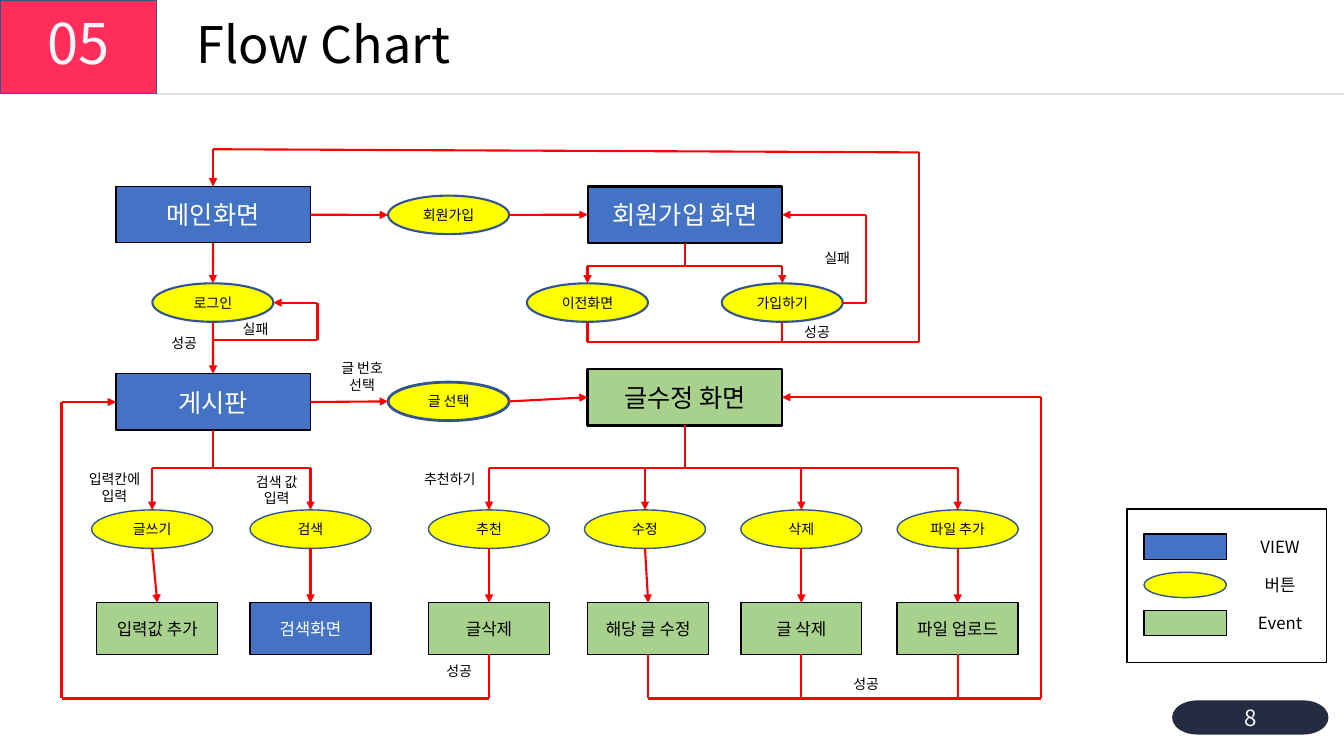
from dataclasses import dataclass

from lxml import etree
from pptx import Presentation
from pptx.dml.color import RGBColor
from pptx.enum.shapes import MSO_CONNECTOR, MSO_SHAPE
from pptx.enum.text import MSO_ANCHOR, PP_ALIGN
from pptx.oxml.ns import qn
from pptx.shapes.autoshape import Shape
from pptx.util import Cm, Pt

RECT, OVAL = MSO_SHAPE.RECTANGLE, MSO_SHAPE.OVAL
PROCESS, PILL = MSO_SHAPE.FLOWCHART_PROCESS, MSO_SHAPE.FLOWCHART_TERMINATOR
STRAIGHT = MSO_CONNECTOR.STRAIGHT
LEFT, CENTER = PP_ALIGN.LEFT, PP_ALIGN.CENTER
TOP_ANCHOR, MIDDLE = MSO_ANCHOR.TOP, MSO_ANCHOR.MIDDLE
TOP, WEST, BOTTOM, EAST = range(4)  # connection sites of a rectangle


@dataclass(frozen=True)
class Theme:
    font: str = "Noto Sans CJK KR"
    black: str = "000000"
    white: str = "FFFFFF"
    pale: str = "F4F5F9"
    accent: str = "FF2D5A"
    navy: str = "252C41"
    rule: str = "DDDFE6"
    outline: str = "325491"
    view: str = "4472C4"
    button: str = "FFFF00"
    event: str = "A9D18E"
    flow: str = "FF0000"
    number: int = 40
    title: int = 36
    screen: int = 18
    page: int = 16
    body: int = 12
    small: int = 10


def rgb(value):
    return RGBColor.from_string(value)


def mid_x(shape):
    return (shape.left + shape.width / 2) / Cm(1)


def mid_y(shape):
    return (shape.top + shape.height / 2) / Cm(1)


def write(tf, text, *, font, size, color, align=CENTER, anchor=MIDDLE,
          inset=(0, 0), spacing=None):
    """Fill a text frame, one paragraph per line of text."""
    tf.word_wrap = True
    tf.vertical_anchor = anchor
    tf.margin_left = tf.margin_right = Cm(inset[0])
    tf.margin_top = tf.margin_bottom = Cm(inset[1])
    for i, line in enumerate(text.split("\n")):
        p = tf.add_paragraph() if i else tf.paragraphs[0]
        p.alignment = align
        if spacing:
            p.line_spacing = spacing
        r = p.add_run()
        r.text = line
        r.font.size = Pt(size)
        r.font.name = font
        r.font.color.rgb = rgb(color)
        etree.SubElement(r._r.get_or_add_rPr(), qn("a:ea"), typeface=font)


class FlowSlide:
    def __init__(self, slide, theme):
        self.shapes = slide.shapes
        self.t = theme

    def box(self, kind, x, y, w, h, fill=None, line=None, width=1):
        s = self.shapes.add_shape(kind, Cm(x), Cm(y), Cm(w), Cm(h))
        s.shadow.inherit = False
        if fill:
            s.fill.solid()
            s.fill.fore_color.rgb = rgb(fill)
        else:
            s.fill.background()
        if line:
            s.line.color.rgb = rgb(line)
            s.line.width = Pt(width)
        else:
            s.line.fill.background()
        return s

    def put(self, s, text, size, color, **fmt):
        write(s.text_frame, text, font=self.t.font, size=size, color=color, **fmt)
        return s

    def screen(self, text, x, y, fill, color, width=1):
        s = self.box(RECT, x, y, 4.9, 1.42, fill, self.t.black, width)
        return self.put(s, text, self.t.screen, color)

    def button(self, text, x, y, width=1.5):
        s = self.box(OVAL, x, y, 3.05, 0.97, self.t.button, self.t.outline, width)
        return self.put(s, text, self.t.small, self.t.black)

    def result(self, text, x, y, fill, color):
        s = self.box(RECT, x, y, 3.05, 1.3, fill, self.t.black)
        return self.put(s, text, self.t.body, color)

    def text(self, text, x, y, w, h, size, **fmt):
        s = self.shapes.add_textbox(Cm(x), Cm(y), Cm(w), Cm(h))
        return self.put(s, text, size, self.t.black, **fmt)

    def label(self, text, x, y, w=1.4, h=0.69):
        self.text(text, x, y, w, h, self.t.small, anchor=TOP_ANCHOR,
                  inset=(0.1, 0.13))

    def line(self, start, end, color, width=1.5, arrow=False):
        """Each end is a point (x, y) or a joint (shape, site)."""
        points = [(0, 0) if isinstance(e[0], Shape) else e for e in (start, end)]
        c = self.shapes.add_connector(
            STRAIGHT, *(Cm(v) for point in points for v in point))
        for e, join, tag in ((start, c.begin_connect, "a:stCxn"),
                             (end, c.end_connect, "a:endCxn")):
            if isinstance(e[0], Shape):
                join(*e)
                if e[0].auto_shape_type == OVAL:  # an ellipse has eight sites
                    c._element.xpath(f".//{tag}")[0].set("idx", str(e[1] * 2))
        c.line.color.rgb = rgb(color)
        c.line.width = Pt(width)
        if arrow:
            etree.SubElement(c.line._get_or_add_ln(), qn("a:tailEnd"), type="triangle")
        etree.SubElement(c._element.spPr, qn("a:effectLst"))

    def route(self, *stops, arrow=True):
        """Join the stops with straight lines; the arrowhead is on the last."""
        last = len(stops) - 2
        for i, (a, b) in enumerate(zip(stops, stops[1:])):
            self.line(a, b, self.t.flow, arrow=arrow and i == last)

    def fork(self, source, targets, y):
        """Branch from the bottom of source to the top of every target."""
        self.route((source, BOTTOM), (mid_x(source), y), arrow=False)
        self.route((mid_x(targets[0]), y), (mid_x(targets[-1]), y), arrow=False)
        for target in targets:
            self.route((mid_x(target), y), (target, TOP))


def header(f):
    t = f.t
    f.line((3.94, 2.36), (33.87, 2.36), t.rule)
    number = f.box(PROCESS, 0, 0, 3.94, 2.36, t.accent, t.outline)
    f.put(number, "05", t.number, t.pale, spacing=0.9)
    f.text("Flow Chart", 4.7, 0.33, 17.91, 1.7, t.title, align=LEFT,
           inset=(0.25, 0.13), spacing=0.9)
    page = f.box(PILL, 29.54, 17.65, 3.94, 0.86, t.navy)
    f.put(page, "8", t.page, t.pale)


def legend(f):
    t = f.t
    f.box(RECT, 28.4, 12.83, 5.03, 3.86, line=t.black)
    entries = (("VIEW", RECT, t.view, t.black), ("버튼", OVAL, t.button, t.outline),
               ("Event", RECT, t.event, t.black))
    for i, (name, kind, fill, line) in enumerate(entries):
        y = 13.46 + i * 0.96
        f.box(kind, 28.83, y, 2.08, 0.64, fill, line)
        f.text(name, 31.22, y, 2.08, 0.64, t.body)


def flow(f):
    t = f.t
    main = f.screen("메인화면", 2.92, 4.7, t.view, t.white)
    signup = f.screen("회원가입 화면", 14.81, 4.7, t.view, t.white, 1.5)
    board = f.screen("게시판", 2.92, 9.42, t.view, t.white)
    edit = f.screen("글수정 화면", 14.81, 9.3, t.event, t.black, 2)

    join = f.button("회원가입", 9.78, 4.93)
    login = f.button("로그인", 3.84, 7.14)
    back = f.button("이전화면", 13.28, 7.14)
    submit = f.button("가입하기", 18.19, 7.14)
    select = f.button("글 선택", 9.78, 9.63, 2)

    columns = (("글쓰기", 2.31, "입력값 추가", 2.44),
               ("검색", 6.3, "검색화면", 6.3),
               ("추천", 10.8, "글삭제", 10.8),
               ("수정", 14.73, "해당 글 수정", 14.81),
               ("삭제", 18.67, "글 삭제", 18.67),
               ("파일 추가", 22.61, "파일 업로드", 22.61))
    actions, results = [], []
    for action, action_x, result, result_x in columns:
        look = (t.view, t.white) if result == "검색화면" else (t.event, t.black)
        actions.append(f.button(action, action_x, 12.85, 1))
        results.append(f.result(result, result_x, 15.19, *look))
        f.route((actions[-1], BOTTOM), (results[-1], TOP))

    for a, b in ((main, join), (join, signup), (board, select), (select, edit)):
        f.route((a, EAST), (b, WEST))
    for a, b in ((main, login), (login, board)):
        f.route((a, BOTTOM), (b, TOP))
    f.fork(signup, [back, submit], 6.71)
    f.fork(board, actions[:2], 11.8)
    f.fork(edit, actions[2:], 11.8)

    # Login failure and sign-up failure
    f.route((mid_x(login), 8.56), (8, 8.56), (8, mid_y(login)), (login, EAST))
    f.route((submit, EAST), (21.82, mid_y(submit)), (21.82, mid_y(signup)),
            (signup, EAST))
    # Return to the main screen
    f.route((back, BOTTOM), (mid_x(back), 8.61), (23.16, 8.61), (23.16, 3.84),
            (mid_x(main), 3.76), (main, TOP))
    f.route((submit, BOTTOM), (mid_x(submit), 8.61), arrow=False)
    # Return to the board and to the edit screen
    deleted, edited, *others = results[2:]
    f.route((deleted, BOTTOM), (mid_x(deleted), 17.6), (1.55, 17.6),
            (1.55, mid_y(board)), (board, WEST))
    f.route((edited, BOTTOM), (mid_x(edited), 17.6), (26.24, 17.6),
            (26.24, mid_y(edit)), (edit, EAST))
    for s in others:
        f.route((s, BOTTOM), (mid_x(s), 17.6), arrow=False)

    for x, y in ((20.4, 6.17), (5.74, 7.95)):
        f.label("실패", x, y)
    for x, y in ((19.89, 8.03), (3.94, 8.31), (10.87, 16.56), (21.13, 16.89)):
        f.label("성공", x, y)
    f.label("추천하기", 10.41, 11.73, 1.85)
    for text, x, y in (("입력칸에 입력", 1.96, 11.73), ("검색 값\n입력", 6.05, 11.79),
                       ("글 번호\n선택", 8.2, 8.94)):
        f.label(text, x, y, 1.85, 1.12)


def main():
    prs = Presentation()
    prs.slide_width, prs.slide_height = Cm(33.87), Cm(19.05)
    f = FlowSlide(prs.slides.add_slide(prs.slide_layouts[6]), Theme())
    header(f)
    legend(f)
    flow(f)
    prs.save("out.pptx")


if __name__ == "__main__":
    main()
